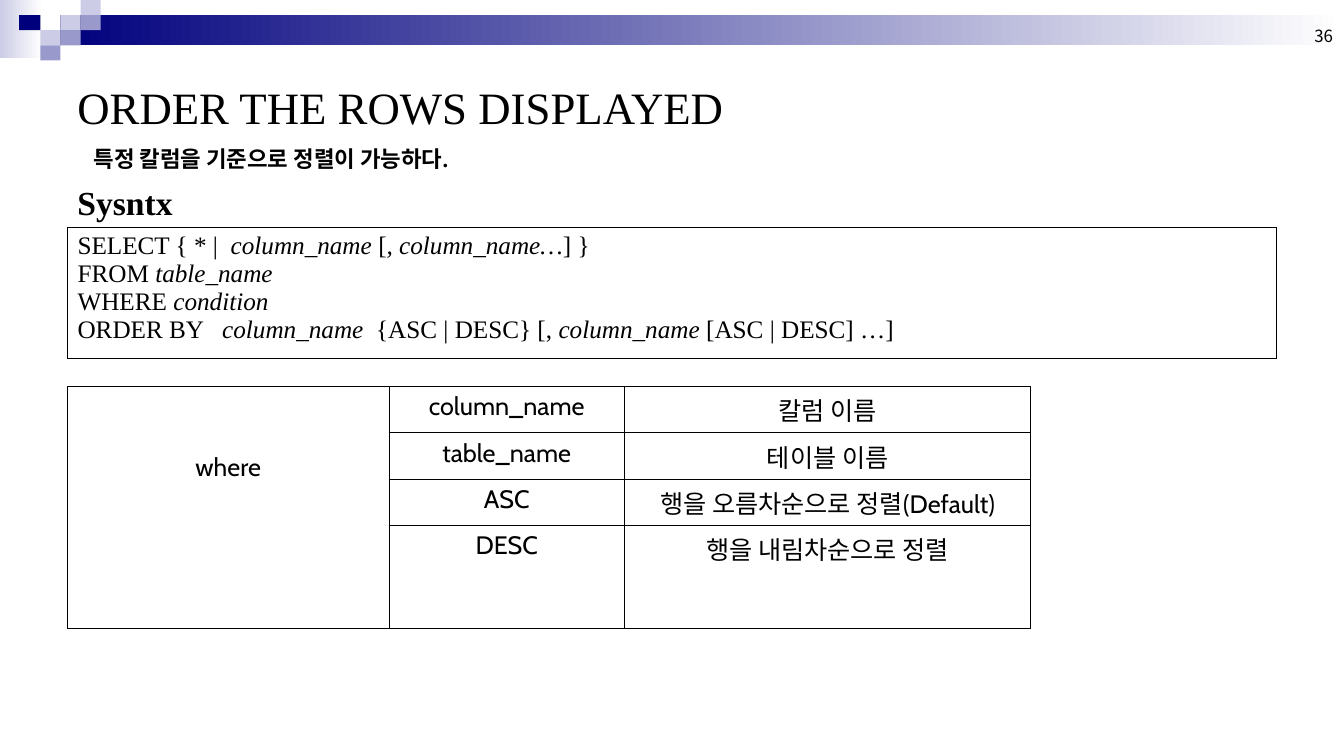
from dataclasses import dataclass

import lxml.etree
import pptx
import pptx.dml.color
import pptx.enum.shapes
import pptx.enum.text
import pptx.oxml.ns
import pptx.util

COL, ROW = 0.2, 0.15
LEFT, WIDE = 3.35, 60
NAVY, LILAC, PALE, WHITE, BLACK = "00007D", "9999CC", "CCCCE6", "FFFFFF", "000000"
SERIF, SANS, KOREAN = "Times New Roman", "Cabin", "Noto Sans CJK KR"
ALIGN = pptx.enum.text.PP_ALIGN
ANCHOR = pptx.enum.text.MSO_ANCHOR


@dataclass
class Box:
    """A rectangle measured in grid columns and rows."""
    col: float
    row: float
    cols: float = 1
    rows: float = 1

    def emu(self) -> tuple:
        """Return left, top, width and height as lengths."""
        return x(self.col), y(self.row), x(self.cols), y(self.rows)


@dataclass
class Tile:
    """A header rectangle, which fades to white if asked."""
    box: Box
    color: str
    fades: bool = False


@dataclass
class Label:
    """A line of text in its own box."""
    box: Box
    text: str
    size: float
    font: str = SERIF
    bold: bool = False
    align: ALIGN = ALIGN.LEFT
    anchor: ANCHOR = ANCHOR.TOP


TILES = [
    Tile(Box(0, 0, 2.1, 3.87), PALE, True),
    Tile(Box(3, 1, 63.65, 2), NAVY, True),
    Tile(Box(3, 1), PALE),
    Tile(Box(4, 0), PALE),
    Tile(Box(4, 1), LILAC),
    Tile(Box(2, 2), PALE),
    Tile(Box(0.95, 1, 1.05), NAVY),
    Tile(Box(3, 2), LILAC),
    Tile(Box(2, 3), LILAC),
]
LABELS = [
    Label(Box(51.1, 0, 15.55, 3.33), "36", 12, KOREAN, align=ALIGN.RIGHT, anchor=ANCHOR.BOTTOM),
    Label(Box(LEFT, 3.33, WIDE, 7.47), "ORDER THE ROWS DISPLAYED", 32, anchor=ANCHOR.MIDDLE),
    Label(Box(LEFT, 11.7, 44.6, 3.67), "Sysntx", 24, bold=True),
    Label(Box(4.15, 9.27, 51.25, 2.93), "특정 칼럼을 기준으로 정렬이 가능하다.", 16, bold=True),
]
SYNTAX = [
    ("SELECT { * |  ", "column_name ", "[", ", column_name…", "] }"),
    ("FROM ", "table_name"),
    ("WHERE ", "condition"),
    ("ORDER BY   ", "column_name  ", "{ASC | DESC} [,", " column_name ", "[ASC | DESC] …]"),
]
TERMS = [
    ("column_name", "칼럼 이름"),
    ("table_name", "테이블 이름"),
    ("ASC", "행을 오름차순으로 정렬(Default)"),
    ("DESC", "행을 내림차순으로 정렬"),
]


def x(cols: float) -> int:
    """Convert grid columns to a length."""
    return pptx.util.Inches(cols * COL)


def y(rows: float) -> int:
    """Convert grid rows to a length."""
    return pptx.util.Inches(rows * ROW)


def rgb(color: str) -> pptx.dml.color.RGBColor:
    """Convert a hex string to a colour."""
    return pptx.dml.color.RGBColor.from_string(color)


def sub(parent, tag: str, **attrs: str):
    """Append a DrawingML element and return it."""
    return lxml.etree.SubElement(parent, pptx.oxml.ns.qn(tag), attrs)


def style(r, size: float, font: str, bold: bool = False, italic: bool = False) -> None:
    """Format one run in black."""
    r.font.size, r.font.name = pptx.util.Pt(size), font
    r.font.bold, r.font.italic = bold, italic
    r.font.color.rgb = rgb(BLACK)
    sub(r.font._element, "a:ea", typeface=KOREAN)


def add_tile(slide, tile: Tile) -> None:
    """Draw one header rectangle."""
    sp = slide.shapes.add_shape(pptx.enum.shapes.MSO_SHAPE.RECTANGLE, *tile.box.emu())
    sp.shadow.inherit = False
    sp.line.fill.background()
    if tile.fades:
        sp.fill.gradient()
        sp.fill.gradient_angle = 0
        for stop, color in zip(sp.fill.gradient_stops, (tile.color, WHITE)):
            stop.color.rgb = rgb(color)
    else:
        sp.fill.solid()
        sp.fill.fore_color.rgb = rgb(tile.color)


def add_label(slide, label: Label) -> None:
    """Draw one text box."""
    tf = slide.shapes.add_textbox(*label.box.emu()).text_frame
    tf.word_wrap, tf.vertical_anchor = True, label.anchor
    p = tf.paragraphs[0]
    p.text, p.alignment = label.text, label.align
    style(p.runs[0], label.size, label.font, label.bold)


def add_grid(slide, col: float, row: float, cols: list[float], rows: list[float]):
    """Draw an unfilled table with thin black borders."""
    box = Box(col, row, sum(cols), sum(rows))
    table = slide.shapes.add_table(len(rows), len(cols), *box.emu()).table
    table.first_row = table.horz_banding = False
    for column, width in zip(table.columns, cols):
        column.width = x(width)
    for line, height in zip(table.rows, rows):
        line.height = y(height)
    for cell in table.iter_cells():
        tcPr = cell._tc.get_or_add_tcPr()
        for side in ("a:lnL", "a:lnR", "a:lnT", "a:lnB"):
            ln = sub(tcPr, side, w=str(pptx.util.Pt(0.45)))
            sub(sub(ln, "a:solidFill"), "a:srgbClr", val=BLACK)
        cell.fill.background()
    return table


def fill_cell(cell, text: str) -> None:
    """Write centred text in a table cell."""
    p = cell.text_frame.paragraphs[0]
    p.text, p.alignment = text, ALIGN.CENTER
    style(p.runs[0], 18, SANS)


def add_syntax(slide) -> None:
    """Draw the statement, with every second piece in italics."""
    tf = add_grid(slide, LEFT, 15, [WIDE], [8.67]).cell(0, 0).text_frame
    for i, pieces in enumerate(SYNTAX):
        p = tf.add_paragraph() if i else tf.paragraphs[0]
        for j, piece in enumerate(pieces):
            r = p.add_run()
            r.text = piece
            style(r, 18, SERIF, italic=j % 2 == 1)


def add_terms(slide) -> None:
    """Draw the table that explains the terms."""
    table = add_grid(slide, LEFT, 25.55, [15.95, 11.7, 20.15], [3.07, 3.07, 3.07, 6.8])
    where = table.cell(0, 0)
    where.merge(table.cell(len(TERMS) - 1, 0))
    where.margin_top = y(4.33)
    fill_cell(where, "where")
    for i, term in enumerate(TERMS):
        for j, text in enumerate(term, 1):
            fill_cell(table.cell(i, j), text)


def main() -> None:
    """Build and save the slide."""
    prs = pptx.Presentation()
    prs.slide_width, prs.slide_height = x(66.7), y(50)
    slide = prs.slides.add_slide(prs.slide_layouts[6])
    for tile in TILES:
        add_tile(slide, tile)
    for label in LABELS:
        add_label(slide, label)
    add_syntax(slide)
    add_terms(slide)
    prs.save("out.pptx")


if __name__ == "__main__":
    main()
